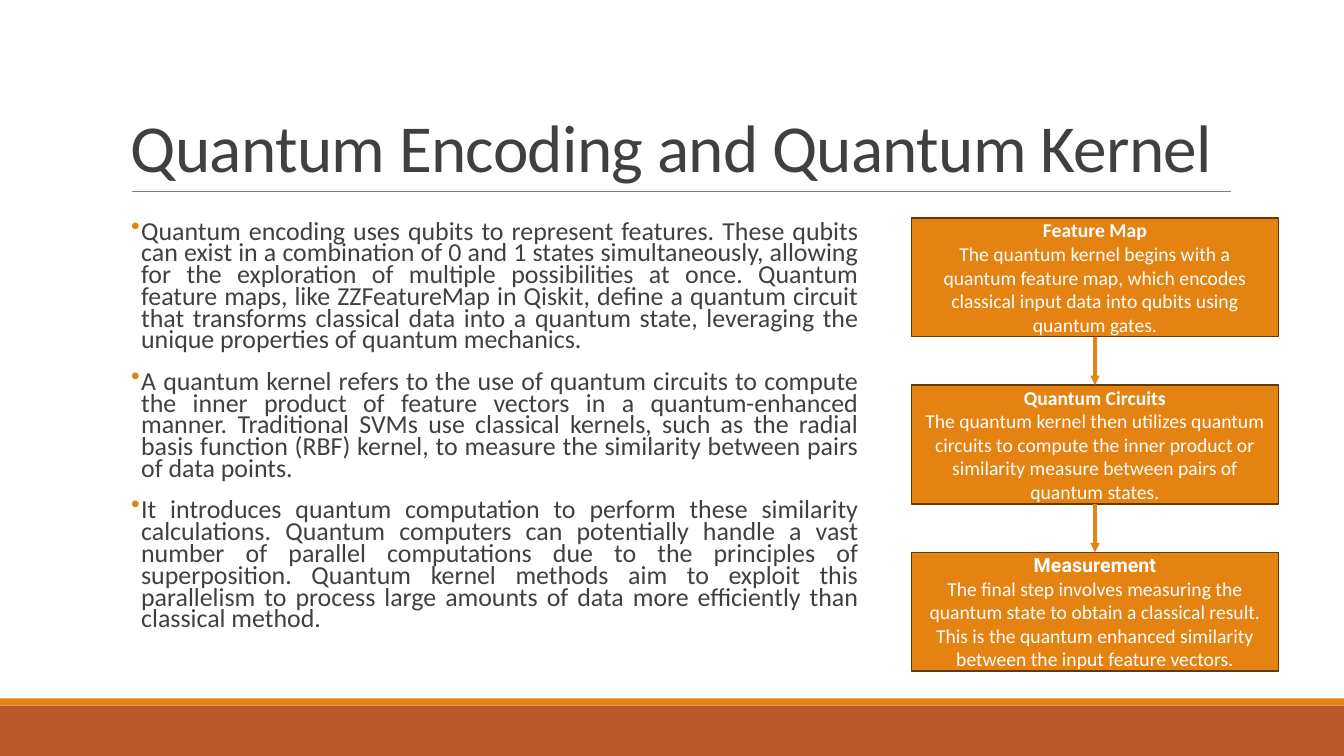
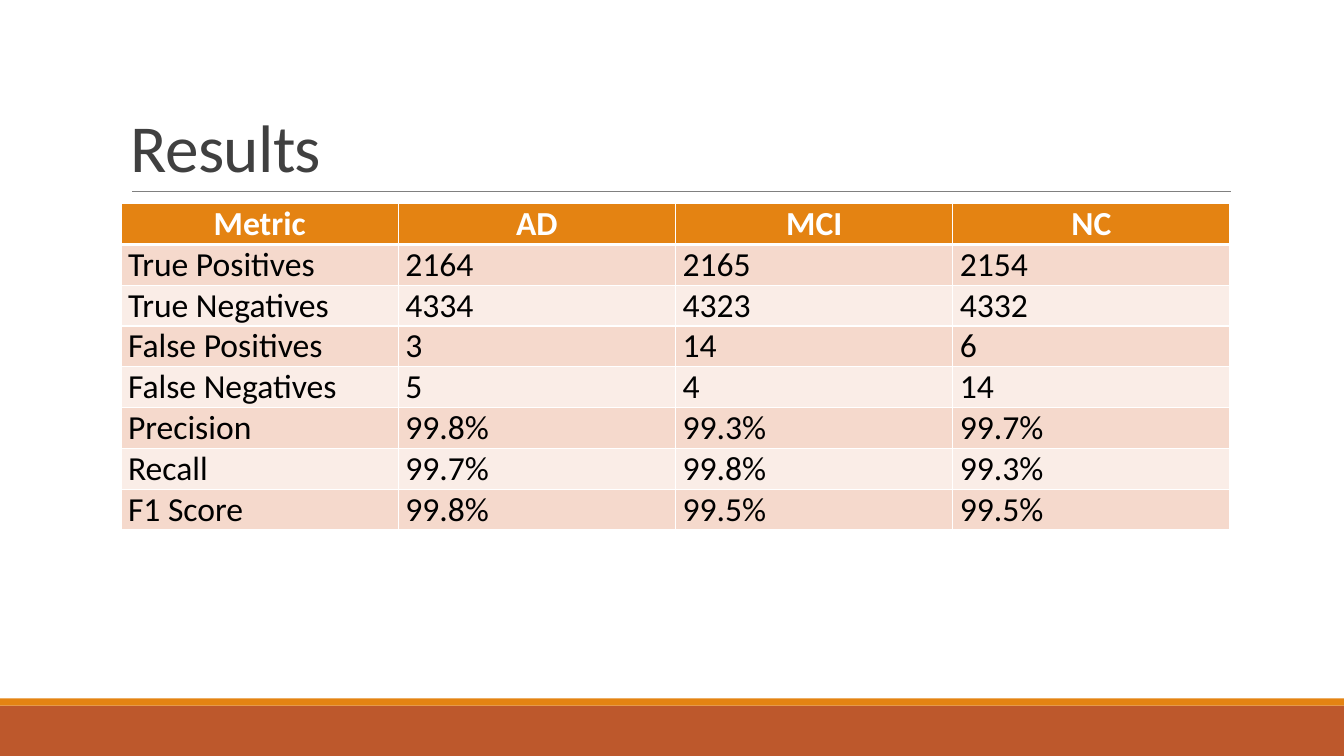
import pptx
import pptx.chart.data
import pptx.dml.color
import pptx.enum.shapes
import pptx.enum.text
import pptx.oxml
import pptx.oxml.ns
import pptx.util
from lxml import etree

Inches = pptx.util.Inches
Pt = pptx.util.Pt
qn = pptx.oxml.ns.qn
Align = pptx.enum.text.PP_ALIGN
Anchor = pptx.enum.text.MSO_ANCHOR
Shape = pptx.enum.shapes.MSO_SHAPE
Joint = pptx.enum.shapes.MSO_CONNECTOR

WIDTH, HEIGHT = 13.33, 7.5

POINTS = [
    "Quantum encoding uses qubits to represent features. These qubits can exist "
    "in a combination of 0 and 1 states simultaneously, allowing for the "
    "exploration of multiple possibilities at once. Quantum feature maps, like "
    "ZZFeatureMap in Qiskit, define a quantum circuit that transforms classical "
    "data into a quantum state, leveraging the unique properties of quantum "
    "mechanics.",
    "A quantum kernel refers to the use of quantum circuits to compute the inner "
    "product of feature vectors in a quantum-enhanced manner. Traditional SVMs "
    "use classical kernels, such as the radial basis function (RBF) kernel, to "
    "measure the similarity between pairs of data points.",
    "It introduces quantum computation to perform these similarity calculations. "
    "Quantum computers can potentially handle a vast number of parallel "
    "computations due to the principles of superposition. Quantum kernel methods "
    "aim to exploit this parallelism to process large amounts of data more "
    "efficiently than classical method.",
]

STEPS = [
    ("Feature Map", "Calibri",
     "The quantum kernel begins with a quantum feature map, which encodes "
     "classical input data into qubits using quantum gates."),
    ("Quantum Circuits", "Calibri",
     "The quantum kernel then utilizes quantum circuits to compute the inner "
     "product or similarity measure between pairs of quantum states."),
    ("Measurement", "Roboto",
     "The final step involves measuring the quantum state to obtain a classical "
     "result. This is the quantum enhanced similarity between the input feature "
     "vectors."),
]

RESULTS = [
    ("Metric", "AD", "MCI", "NC"),
    ("True Positives", "2164", "2165", "2154"),
    ("True Negatives", "4334", "4323", "4332"),
    ("False Positives", "3", "14", "6"),
    ("False Negatives", "5", "4", "14"),
    ("Precision", "99.8%", "99.3%", "99.7%"),
    ("Recall", "99.7%", "99.8%", "99.3%"),
    ("F1 Score", "99.8%", "99.5%", "99.5%"),
]


def color(code):
    return pptx.dml.color.RGBColor.from_string(code)


def area(*sides):
    return [Inches(side) for side in sides]


class Deck:
    """Holds the style and the slide being filled."""

    font = "Calibri"
    ink = "404040"
    white = "FFFFFF"
    black = "000000"
    orange = "E48312"
    rust = "BD582C"
    brown = "643908"
    gray = "808080"
    bands = ("F5D9CC", "FAEDE7")

    def __init__(self):
        self.deck = pptx.Presentation()
        self.deck.slide_width = Inches(WIDTH)
        self.deck.slide_height = Inches(HEIGHT)
        self.slide = None

    def page(self, title):
        """Start a slide with the shared bands, rule and title."""
        self.slide = self.deck.slides.add_slide(self.deck.slide_layouts[6])
        self.rect(0, 7, WIDTH, 0.5, self.rust)
        self.rect(0, 6.93, WIDTH, 0.07, self.orange)
        self.line((1.31, 1.9), (12.21, 1.9), self.gray, 0.5)
        frame = self.box(1.2, 0.31, 11, 1.59)
        frame.vertical_anchor = Anchor.BOTTOM
        para = frame.paragraphs[0]
        para.line_spacing = 0.85
        run = self.run(para, title, 48, self.ink)
        run.font._element.set("spc", "-50")

    def run(self, para, text, size, ink, bold=False, font=None):
        run = para.add_run()
        run.text = text
        run.font.name = font or self.font
        run.font.size = Pt(size)
        run.font.bold = bold
        run.font.color.rgb = color(ink)
        return run

    def box(self, *sides):
        frame = self.slide.shapes.add_textbox(*area(*sides)).text_frame
        frame.word_wrap = True
        return frame

    def rect(self, left, top, width, height, fill, edge=None):
        shape = self.slide.shapes.add_shape(
            Shape.RECTANGLE, *area(left, top, width, height))
        shape.shadow.inherit = False
        shape.fill.solid()
        shape.fill.fore_color.rgb = color(fill)
        if edge:
            shape.line.color.rgb = color(edge)
            shape.line.width = Pt(1.25)
        else:
            shape.line.fill.background()
        return shape

    def line(self, start, end, ink, width):
        line = self.slide.shapes.add_connector(
            Joint.STRAIGHT, *area(*start, *end))
        line.line.color.rgb = color(ink)
        line.line.width = Pt(width)
        etree.SubElement(line.element.spPr, qn("a:effectLst"))
        return line

    def arrow(self, above, below):
        """Join the bottom of one box to the top of the next."""
        line = self.line((0, 0), (0, 0), self.orange, 2.25)
        line.begin_connect(above, 2)
        line.end_connect(below, 0)
        stroke = line.element.spPr.find(qn("a:ln"))
        etree.SubElement(stroke, qn("a:tailEnd"), type="triangle")

    def list(self, points, *sides):
        frame = self.box(*sides)
        frame.margin_left = frame.margin_right = 0
        for index, text in enumerate(points):
            para = frame.add_paragraph() if index else frame.paragraphs[0]
            para.alignment = Align.JUSTIFY
            para.line_spacing = 0.7
            para.space_before = Pt(12)
            para.space_after = Pt(2)
            self.bullet(para)
            self.run(para, text, 18.5, self.ink)

    def bullet(self, para):
        props = para._p.get_or_add_pPr()
        indent = Inches(0.1)
        props.set("marL", str(indent))
        props.set("indent", str(-indent))
        tint = etree.SubElement(props, qn("a:buClr"))
        etree.SubElement(tint, qn("a:srgbClr"), val=self.orange)
        etree.SubElement(props, qn("a:buChar"), char="•")

    def step(self, head, font, text, *sides):
        shape = self.rect(*sides, self.orange, self.brown)
        frame = shape.text_frame
        frame.word_wrap = True
        frame.vertical_anchor = Anchor.MIDDLE
        first, second = frame.paragraphs[0], frame.add_paragraph()
        first.alignment = second.alignment = Align.CENTER
        self.run(first, head, 14, self.white, True, font)
        self.run(second, text, 14, self.white)
        return shape

    def table(self, rows, left, top, width, height):
        table = self.slide.shapes.add_table(
            len(rows), len(rows[0]), *area(left, top, width, height)).table
        table.first_row = table.horz_banding = False
        for r, row in enumerate(rows):
            for c, text in enumerate(row):
                self.cell(table.cell(r, c), text, r)

    def cell(self, cell, text, row):
        head = row == 0
        cell.margin_left = cell.margin_right = Inches(0.07)
        cell.margin_top = cell.margin_bottom = 0
        self.edge(cell, L=1, R=1, T=3 if row == 1 else 1, B=3 if head else 1)
        cell.fill.solid()
        cell.fill.fore_color.rgb = color(
            self.orange if head else self.bands[(row - 1) % 2])
        para = cell.text_frame.paragraphs[0]
        para.alignment = Align.CENTER if head else Align.JUSTIFY
        self.run(para, text, 24, self.white if head else self.black, head)

    def edge(self, cell, **widths):
        """Draw white cell borders, with widths in points by side."""
        props = cell._tc.get_or_add_tcPr()
        for side, width in widths.items():
            line = etree.SubElement(props, qn("a:ln" + side), w=str(Pt(width)))
            fill = etree.SubElement(line, qn("a:solidFill"))
            etree.SubElement(fill, qn("a:srgbClr"), val=self.white)


def main():
    deck = Deck()

    deck.page("Quantum Encoding and Quantum Kernel")
    deck.list(POINTS, 1.3, 2.16, 7.21, 4.4)
    steps = [deck.step(*step, 9.04, 2.16 + 1.66 * i, 3.64, 1.18)
             for i, step in enumerate(STEPS)]
    for above, below in zip(steps, steps[1:]):
        deck.arrow(above, below)

    deck.page("Results")
    deck.table(RESULTS, 1.2, 2.02, 11, 3.24)

    deck.deck.save("out.pptx")


if __name__ == "__main__":
    main()
